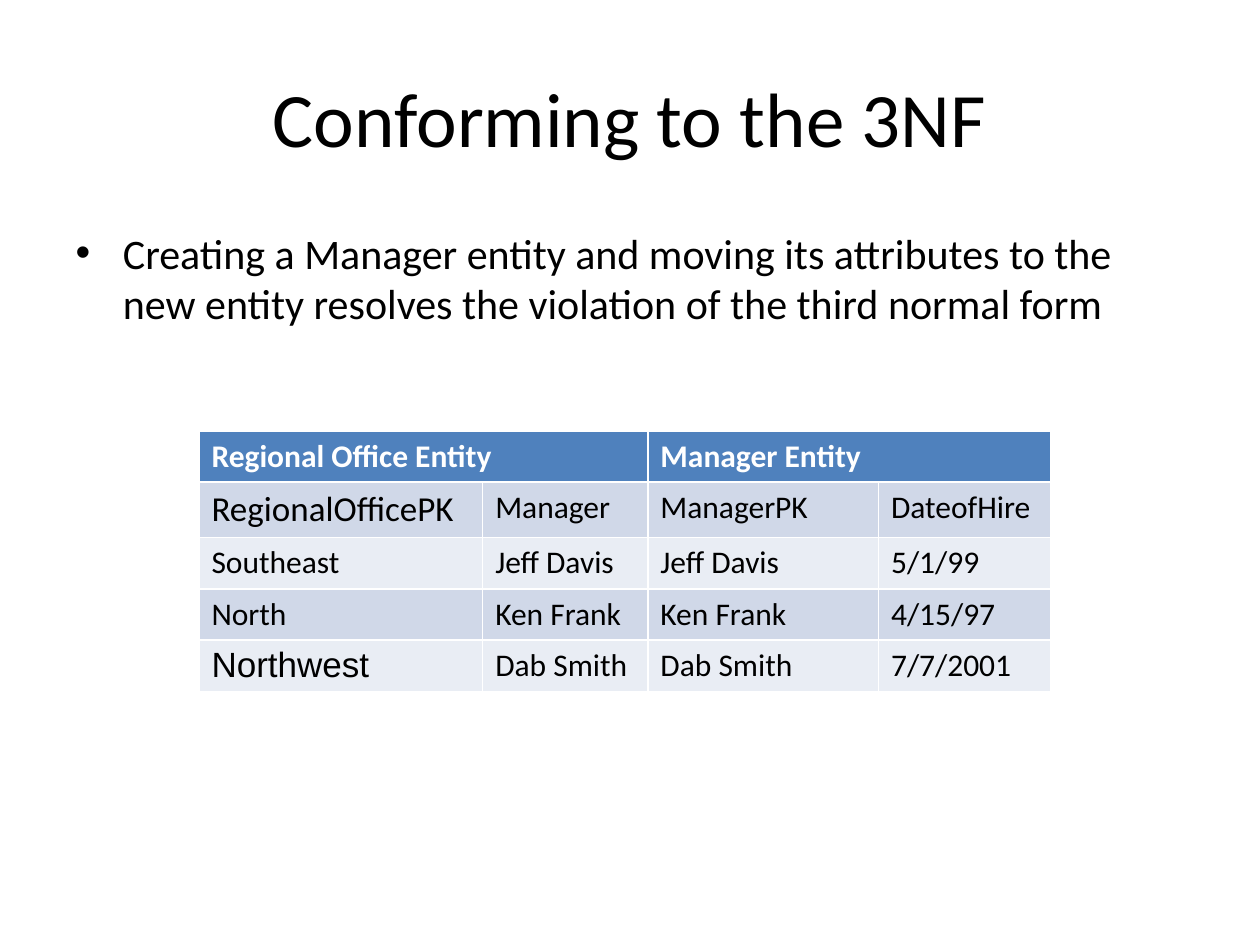
from pptx import Presentation
from pptx.dml.color import RGBColor
from pptx.enum import text
from pptx.util import Cm, Pt

TITLE = "Conforming to the 3NF"
BULLET = (
    "Creating a Manager entity and moving its attributes to the new entity "
    "resolves the violation of the third normal form"
)
HEADERS = ["Regional Office Entity", "Manager Entity"]
ROWS = [
    ["RegionalOfficePK", "Manager", "ManagerPK", "DateofHire"],
    ["Southeast", "Jeff Davis", "Jeff Davis", "5/1/99"],
    ["North", "Ken Frank", "Ken Frank", "4/15/97"],
    ["Northwest", "Dab Smith", "Dab Smith", "7/7/2001"],
]
SPECIAL_FONTS = {"RegionalOfficePK": ("Calibri", 20), "Northwest": ("Arial", 20)}
COLUMN_WIDTHS = [5.72, 3.33, 4.65, 3.48]
ROW_HEIGHT = 1.03
COLORS = {
    "text": "000000",
    "header_text": "FFFFFF",
    "header": "4F81BD",
    "odd": "D0D8E8",
    "even": "E9EDF4",
}


def color(name):
    return RGBColor.from_string(COLORS[name])


def place(shape, left, top, width, height):
    shape.left, shape.top = Cm(left), Cm(top)
    shape.width, shape.height = Cm(width), Cm(height)


def write(frame, words, size, font="Calibri", ink="text", bold=False):
    paragraph = frame.paragraphs[0]
    run = paragraph.add_run()
    run.text = words
    run.font.name = font
    run.font.size = Pt(size)
    run.font.bold = bold
    run.font.color.rgb = color(ink)
    return paragraph


def fill_cell(cell, fill):
    cell.fill.solid()
    cell.fill.fore_color.rgb = color(fill)


def add_entity_table(slide):
    row_count, column_count = len(ROWS) + 1, len(COLUMN_WIDTHS)
    table = slide.shapes.add_table(
        row_count, column_count, Cm(4.01), Cm(8.69),
        Cm(sum(COLUMN_WIDTHS)), Cm(ROW_HEIGHT * row_count),
    ).table
    for column, width in zip(table.columns, COLUMN_WIDTHS):
        column.width = Cm(width)
    for row in table.rows:
        row.height = Cm(ROW_HEIGHT)

    span = column_count // len(HEADERS)
    for index, header in enumerate(HEADERS):
        first = index * span
        cell = table.cell(0, first)
        cell.merge(table.cell(0, first + span - 1))
        fill_cell(cell, "header")
        write(cell.text_frame, header, 18, ink="header_text", bold=True)

    for row_index, values in enumerate(ROWS, start=1):
        for column_index, value in enumerate(values):
            cell = table.cell(row_index, column_index)
            fill_cell(cell, "odd" if row_index % 2 else "even")
            font, size = SPECIAL_FONTS.get(value, ("Calibri", 18))
            write(cell.text_frame, value, size, font)


def main():
    presentation = Presentation()
    presentation.slide_width, presentation.slide_height = Cm(25.4), Cm(19.05)
    slide = presentation.slides.add_slide(presentation.slide_layouts[1])

    title = slide.shapes.title
    place(title, 1.27, 0.76, 22.86, 3.18)
    title.text_frame.vertical_anchor = text.MSO_ANCHOR.MIDDLE
    write(title.text_frame, TITLE, 44).alignment = text.PP_ALIGN.CENTER

    body = slide.placeholders[1]
    place(body, 1.27, 4.45, 22.86, 7.19)
    write(body.text_frame, BULLET, 24).space_before = Pt(0)

    add_entity_table(slide)
    presentation.save("out.pptx")


if __name__ == "__main__":
    main()
